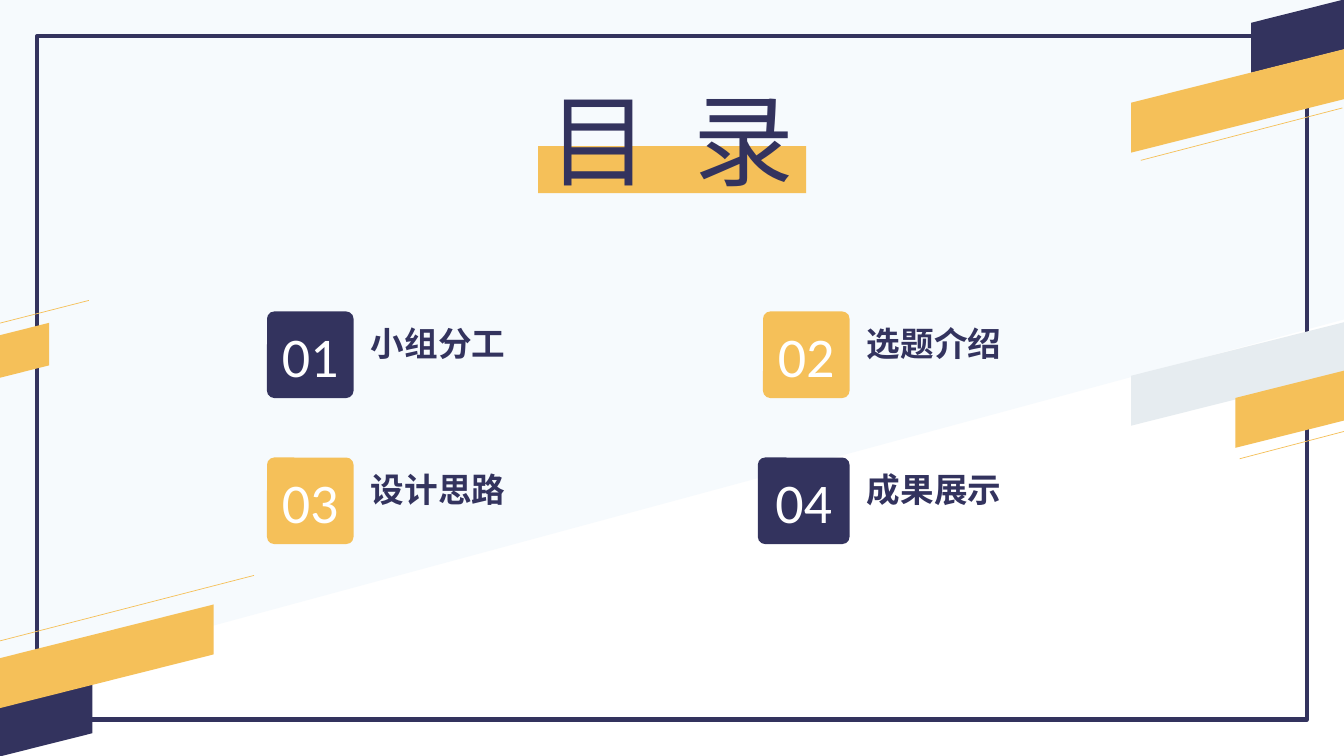
from lxml import etree
from pptx import Presentation
from pptx import util as u
from pptx.dml.color import RGBColor
from pptx.enum import shapes, text
from pptx.oxml.ns import qn

NAVY = RGBColor(0x33, 0x33, 0x5E)
GOLD = RGBColor(0xF5, 0xC0, 0x59)
GREY = RGBColor(0xE6, 0xEC, 0xF0)
PALE = RGBColor(0xF6, 0xFA, 0xFD)
WHITE = RGBColor(0xFF, 0xFF, 0xFF)

WIDTH, HEIGHT = 33.87, 19.05
TILT = 345.9
TILE = 2.18
KIND = shapes.MSO_SHAPE

BANDS = [
    (31.34, 0.3, 2.72, 1.22, NAVY),
    (28.27, 1.93, 5.87, 1.22, GOLD),
    (-0.2, 17.53, 2.72, 1.22, NAVY),
    (-0.25, 15.93, 5.87, 1.22, GOLD),
    (28.27, 8.81, 5.87, 1.22, GREY),
    (30.94, 9.7, 3.15, 1.22, GOLD),
    (-0.18, 8.31, 1.57, 1.04, GOLD),
]
HAIRLINES = [
    (0, 16.15, 6.4, 14.5),
    (31.24, 11.56, 33.88, 10.87),
    (28.75, 4.04, 33.83, 2.72),
    (-0.03, 8.15, 2.24, 7.57),
]
TOPICS = [
    ("小组分工", NAVY, 0),
    ("选题介绍", GOLD, 0),
    ("设计思路", GOLD, 0),
    ("成果展示", NAVY, 0.13),
]


class AgendaSlide:
    latin = "Calibri"
    chinese = "Noto Sans CJK SC"

    def __init__(self, deck):
        self.page = deck.slides.add_slide(deck.slide_layouts[5])
        self.shapes = self.page.shapes

    def paint(self, shape, color):
        shape.shadow.inherit = False
        shape.fill.solid()
        shape.fill.fore_color.rgb = color
        shape.line.fill.background()
        return shape

    def block(self, kind, left, top, width, height, color):
        shape = self.shapes.add_shape(kind, *map(u.Cm, (left, top, width, height)))
        return self.paint(shape, color)

    def backdrop(self, corners):
        points = [(u.Cm(x), u.Cm(y)) for x, y in corners]
        builder = self.shapes.build_freeform(*points[0])
        builder.add_line_segments(points[1:], close=True)
        self.paint(builder.convert_to_shape(), PALE)

    def frame(self, left, top, width, height):
        border = self.block(KIND.RECTANGLE, left, top, width, height, WHITE)
        border.fill.background()
        border.line.color.rgb = NAVY
        border.line.width = u.Pt(3)

    def band(self, left, top, width, height, color):
        self.block(KIND.PARALLELOGRAM, left, top, width, height, color).rotation = TILT

    def hairline(self, *ends):
        line = self.shapes.add_connector(shapes.MSO_CONNECTOR.STRAIGHT, *map(u.Cm, ends))
        line.line.color.rgb = GOLD
        line.line.width = u.Pt(0.5)
        etree.SubElement(line._element.spPr, qn("a:effectLst"))

    def add_words(self, box, words, font, size, color, bold=False, align=None):
        para = box.text_frame.paragraphs[0]
        para.alignment = align
        span = para.add_run()
        span.text = words
        span.font.name = font
        span.font.size = u.Pt(size)
        span.font.bold = bold
        span.font.color.rgb = color
        props = span._r.get_or_add_rPr()
        etree.SubElement(props, qn("a:ea")).set("typeface", font)
        return props

    def tile(self, left, top, width, color, number):
        box = self.block(KIND.ROUNDED_RECTANGLE, left, top, width, TILE, color)
        box.adjustments[0] = 0.083
        box.text_frame.vertical_anchor = text.MSO_ANCHOR.MIDDLE
        self.add_words(box, number, self.latin, 40, WHITE, align=text.PP_ALIGN.CENTER)

    def label(self, left, top, words):
        box = self.shapes.add_textbox(*map(u.Cm, (left, top, 3.89, 1.27)))
        box.text_frame.word_wrap = False
        self.add_words(box, words, self.chinese, 24, NAVY, bold=True)

    def heading(self, words):
        self.block(KIND.RECTANGLE, 13.56, 3.68, 6.76, 1.19, GOLD)
        box = self.shapes.title
        box.left, box.top, box.width, box.height = map(u.Cm, (13.18, 1.83, 7.49, 3.33))
        box.text_frame.auto_size = text.MSO_AUTO_SIZE.NONE
        box.text_frame.vertical_anchor = text.MSO_ANCHOR.TOP
        props = self.add_words(box, words, self.chinese, 72, NAVY, align=text.PP_ALIGN.CENTER)
        props.set("spc", "800")
        self.shapes._spTree.append(box._element)


def main():
    deck = Presentation()
    deck.slide_width, deck.slide_height = u.Cm(WIDTH), u.Cm(HEIGHT)
    agenda = AgendaSlide(deck)
    agenda.backdrop([(0, 0), (WIDTH, 0), (WIDTH, 8.05), (0, 17.22)])
    agenda.frame(0.94, 0.91, 32, 17.22)
    for band in BANDS:
        agenda.band(*band)
    for ends in HAIRLINES:
        agenda.hairline(*ends)
    for index, (topic, color, extra) in enumerate(TOPICS):
        row, column = divmod(index, 2)
        left, top = 6.73 + 12.5 * column, 7.85 + 3.68 * row
        agenda.tile(left - extra, top, TILE + extra, color, f"{index + 1:02}")
        agenda.label(left + 2.37, top + 0.15, topic)
    agenda.heading("目 录")
    deck.save("out.pptx")


if __name__ == "__main__":
    main()
